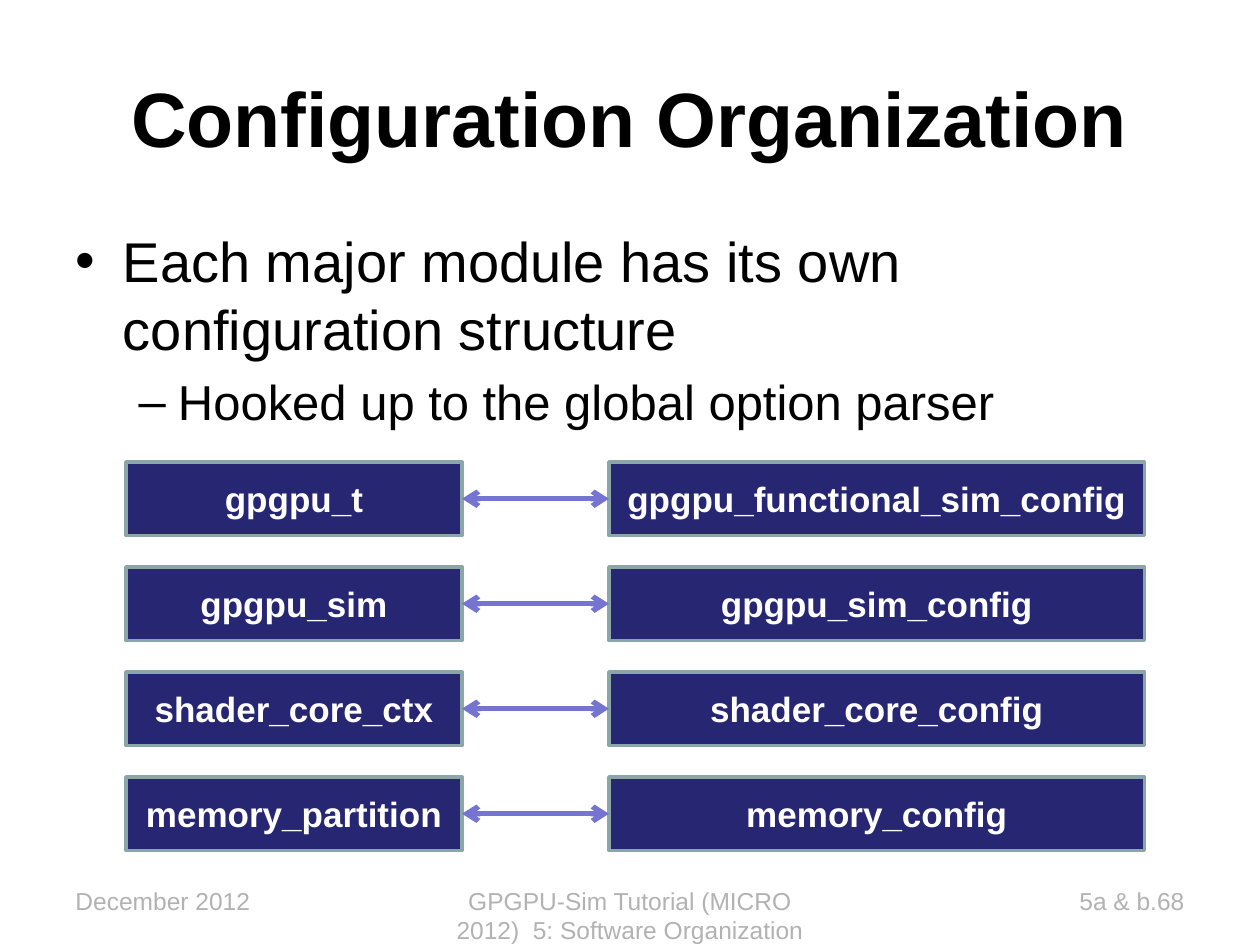
from lxml.etree import SubElement
from pptx import Presentation
from pptx.dml.color import RGBColor
from pptx.enum.shapes import MSO_CONNECTOR as Connector, MSO_SHAPE as Shape
from pptx.enum.text import MSO_ANCHOR as Anchor, MSO_AUTO_SIZE as AutoSize, PP_ALIGN as Align
from pptx.oxml.ns import qn
from pptx.util import Inches, Pt


def rgb(value):
    return RGBColor.from_string(value)


def write(p, text, font="Arial", size=20, color="000000", bold=False, align=Align.LEFT, level=0, before=0):
    p.level, p.alignment, p.space_before = level, align, Pt(before)
    r = p.add_run()
    r.text = text
    r.font.name, r.font.size, r.font.bold = font, Pt(size), bold
    r.font.color.rgb = rgb(color)


class Deck:
    """Draws styled elements on a slide with a grid of 120 columns and 90 rows."""

    FILL, BORDER, ARROW, MUTED = "262673", "8AA6A8", "7575D1", "B2B2B2"

    def __init__(self):
        self.prs = Presentation()
        self.prs.slide_width, self.prs.slide_height = Inches(10), Inches(7.5)
        self.s = self.prs.slides.add_slide(self.prs.slide_layouts[1])

    def area(self, col, row, cols, rows):
        dx, dy = self.prs.slide_width / 120, self.prs.slide_height / 90
        return [round(v) for v in (col * dx, row * dy, cols * dx, rows * dy)]

    def holder(self, sp, area, anchor):
        sp.left, sp.top, sp.width, sp.height = self.area(*area)
        tf = sp.text_frame
        tf.word_wrap, tf.auto_size, tf.vertical_anchor = True, AutoSize.NONE, anchor
        return tf

    def title(self, text, *area):
        tf = self.holder(self.s.shapes.title, area, Anchor.MIDDLE)
        write(tf.paragraphs[0], text, size=44, bold=True, align=Align.CENTER)

    def bullets(self, items, *area):
        tf = self.holder(self.s.placeholders[1], area, Anchor.TOP)
        for i, (level, text) in enumerate(items):
            p = tf.add_paragraph() if i else tf.paragraphs[0]
            write(p, text, size=32 - 4 * level, level=level, before=6 if i else 0)

    def footer(self, text, align, *area):
        sp = self.s.shapes.add_textbox(*self.area(*area))
        tf = self.holder(sp, area, Anchor.TOP)
        write(tf.paragraphs[0], text, size=14, color=self.MUTED, align=align)

    def box(self, text, *area):
        sp = self.s.shapes.add_shape(Shape.RECTANGLE, *self.area(*area))
        sp.shadow.inherit = False
        sp.fill.solid()
        sp.fill.fore_color.rgb = rgb(self.FILL)
        sp.line.color.rgb, sp.line.width = rgb(self.BORDER), Pt(2)
        tf = self.holder(sp, area, Anchor.MIDDLE)
        write(tf.paragraphs[0], text, color="FFFFFF", bold=True, align=Align.CENTER)
        return sp

    def link(self, left, right):
        line = self.s.shapes.add_connector(Connector.STRAIGHT, 0, 0, 0, 0)
        line.begin_connect(left, 3)
        line.end_connect(right, 1)
        line.line.color.rgb, line.line.width = rgb(self.ARROW), Pt(3)
        ln = line.line._get_or_add_ln()
        for end in ("a:headEnd", "a:tailEnd"):
            SubElement(ln, qn(end), type="arrow")
        SubElement(line._element.spPr, qn("a:effectLst"))


def main():
    deck = Deck()
    deck.title("Configuration Organization", 6, 3.6, 108, 15)
    deck.bullets([
        (0, "Each major module has its own configuration structure"),
        (1, "Hooked up to the global option parser"),
    ], 6, 21, 108, 21)

    modules = [
        ("gpgpu_t", "gpgpu_functional_sim_config"),
        ("gpgpu_sim", "gpgpu_sim_config"),
        ("shader_core_ctx", "shader_core_config"),
        ("memory_partition", "memory_config"),
    ]
    for i, (module, config) in enumerate(modules):
        row = 44 + 10 * i
        deck.link(deck.box(module, 12, row, 32, 7), deck.box(config, 58, row, 51, 7))

    footers = [
        ("December 2012", Align.LEFT, 6, 28),
        ("GPGPU-Sim Tutorial (MICRO 2012)  5: Software Organization", Align.CENTER, 41, 38),
        ("5a & b.68", Align.RIGHT, 86, 28),
    ]
    for text, align, col, cols in footers:
        deck.footer(text, align, col, 83.75, cols, 6.25)
    deck.prs.save("out.pptx")


if __name__ == "__main__":
    main()
